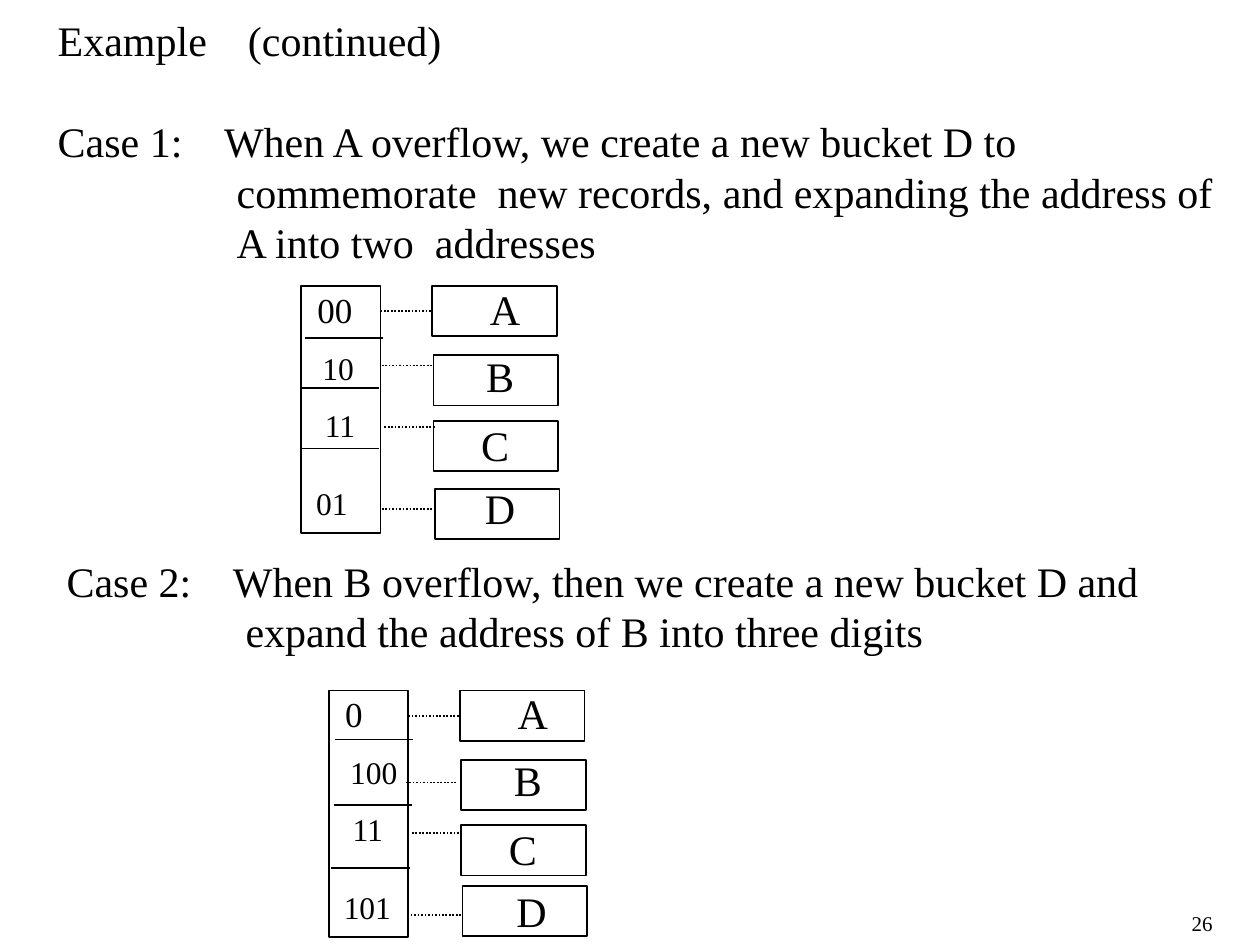
from pptx import Presentation
from pptx.dml.color import RGBColor
from pptx.enum.dml import MSO_LINE_DASH_STYLE as Dash
from pptx.enum.shapes import MSO_CONNECTOR as Connector, MSO_SHAPE as Shape
from pptx.enum.text import MSO_AUTO_SIZE as AutoSize
from pptx.oxml.ns import qn
from pptx.util import Inches, Pt

BLACK = RGBColor(0x00, 0x00, 0x00)
FONT = "Times New Roman"
LINE_FACTOR = 1.2
CASE_TAB, CASE_INDENT = 1.32, 1.42

# Offsets inside a diagram, in inches from its top left corner
DIRECTORY_SIZE = (0.63, 1.96)
ADDRESS_SPOTS = [(0.03, -0.03), (0.07, 0.45), (0.09, 0.9), (0.02, 1.52)]
BUCKET_SPOTS = [(1.04, 0), (1.05, 0.55), (1.05, 1.07)]
LETTER_SPOTS = [(1.4, -0.07), (1.37, 0.46), (1.33, 1.01)]
BUCKET_SIZE = (0.99, 0.4)
LINK_LENGTH = 0.4


def add_text(slide, box, paragraphs, size=24, wrap=False):
    """Each paragraph is a text with a dict of tab, indent and space before."""
    text_box = slide.shapes.add_textbox(*map(Inches, box))
    frame = text_box.text_frame
    frame.word_wrap = wrap
    frame.auto_size = AutoSize.SHAPE_TO_FIT_TEXT
    for index, (text, layout) in enumerate(paragraphs):
        paragraph = frame.paragraphs[0] if index == 0 else frame.add_paragraph()
        paragraph.text = text
        properties = paragraph._p.get_or_add_pPr()
        if "tab" in layout:
            tabs = properties.makeelement(qn("a:tabLst"), {})
            tab = tabs.makeelement(
                qn("a:tab"), {"pos": str(Inches(layout["tab"])), "algn": "l"})
            tabs.append(tab)
            properties.append(tabs)
        if "indent" in layout:
            properties.set("marL", str(Inches(layout["indent"])))
            properties.set("indent", "0")
        if "before" in layout:
            paragraph.space_before = Pt(layout["before"])
        paragraph.line_spacing = Pt(size * LINE_FACTOR)
        paragraph.font.name = FONT
        paragraph.font.size = Pt(size)
        paragraph.font.color.rgb = BLACK


def add_label(slide, left, top, text, size):
    width = 0.2 + len(text) * size * (0.5 if text.isdigit() else 0.7) / 72
    height = 0.1 + size * LINE_FACTOR / 72
    add_text(slide, (left, top, width, height), [(text, {})], size)


def add_box(slide, left, top, width, height):
    box = slide.shapes.add_shape(
        Shape.RECTANGLE, *map(Inches, (left, top, width, height)))
    box.shadow.inherit = False
    box.fill.background()
    box.line.color.rgb = BLACK
    box.line.width = Pt(1)
    return box


def add_line(slide, left, top, length, dotted=False):
    line = slide.shapes.add_connector(
        Connector.STRAIGHT, *map(Inches, (left, top, left + length, top)))
    line.line.color.rgb = BLACK
    line.line.width = Pt(1)
    if dotted:
        line.line.dash_style = Dash.ROUND_DOT
    properties = line._element.spPr
    properties.append(properties.makeelement(qn("a:effectLst"), {}))
    return line


def add_case(slide, box, lines, heading=None):
    """A case label with its text; the lines below the first are indented."""
    paragraphs = [(heading, {"tab": 1.51})] if heading else []
    first = {"tab": CASE_TAB}
    if heading:
        first["before"] = 24 * LINE_FACTOR
    paragraphs.append((lines[0], first))
    paragraphs += [(line, {"indent": CASE_INDENT}) for line in lines[1:]]
    add_text(slide, box, paragraphs, wrap=True)


def add_diagram(slide, left, top, addresses, dividers, links, last_bucket, last_letter):
    """A directory of addresses with dotted links to buckets A to D."""
    # Directory column with its addresses
    add_box(slide, left, top, *DIRECTORY_SIZE)
    for index, (address, (x, y)) in enumerate(zip(addresses, ADDRESS_SPOTS)):
        add_label(slide, left + x, top + y, address, 20 if index == 0 else 18)
    for x, y in dividers:
        add_line(slide, left + x, top + y, 0.62)

    # Buckets with their letters
    buckets = [add_box(slide, left + x, top + y, *BUCKET_SIZE)
               for x, y in BUCKET_SPOTS + [last_bucket]]
    for letter, (x, y) in zip("ABCD", LETTER_SPOTS + [last_letter]):
        add_label(slide, left + x, top + y, letter, 24)

    # Links, the first of which meets the middle of bucket A
    lines = [add_line(slide, left + x, top + y, LINK_LENGTH, dotted=True)
             for x, y in links]
    lines[0].end_connect(buckets[0], 1)


def main():
    presentation = Presentation()
    presentation.slide_width, presentation.slide_height = Inches(10), Inches(7.5)
    slide = presentation.slides.add_slide(presentation.slide_layouts[6])

    # Case 1: bucket A overflows
    add_case(slide, (0.36, 0.07, 9.45, 2.1), [
        "Case 1:\tWhen A overflow, we create a new bucket D to",
        "commemorate  new records, and expanding the address of",
        "A into two  addresses",
    ], heading="Example\t(continued)")
    add_diagram(
        slide, 2.39, 2.27, ["00", "10", "11", "01"],
        dividers=[(0.03, 0.41), (0, 0.81), (0, 1.29)],
        links=[(0.63, 0.2), (0.64, 0.63), (0.66, 1.12), (0.64, 1.77)],
        last_bucket=(1.06, 1.61), last_letter=(1.36, 1.51))

    # Case 2: bucket B overflows
    add_case(slide, (0.43, 4.36, 8.82, 0.9), [
        "Case 2:\tWhen B overflow, then we create a new bucket D and",
        "expand the address of B into three digits",
    ])
    add_diagram(
        slide, 2.61, 5.48, ["0", "100", "11", "101"],
        dividers=[(0.05, 0.39), (0.04, 0.91), (0.02, 1.41)],
        links=[(0.63, 0.2), (0.61, 0.73), (0.66, 1.13), (0.65, 1.78)],
        last_bucket=(1.06, 1.55), last_letter=(1.39, 1.5))

    # Page number
    add_label(slide, 9.36, 7.18, "26", 12)
    presentation.save("out.pptx")


if __name__ == "__main__":
    main()
